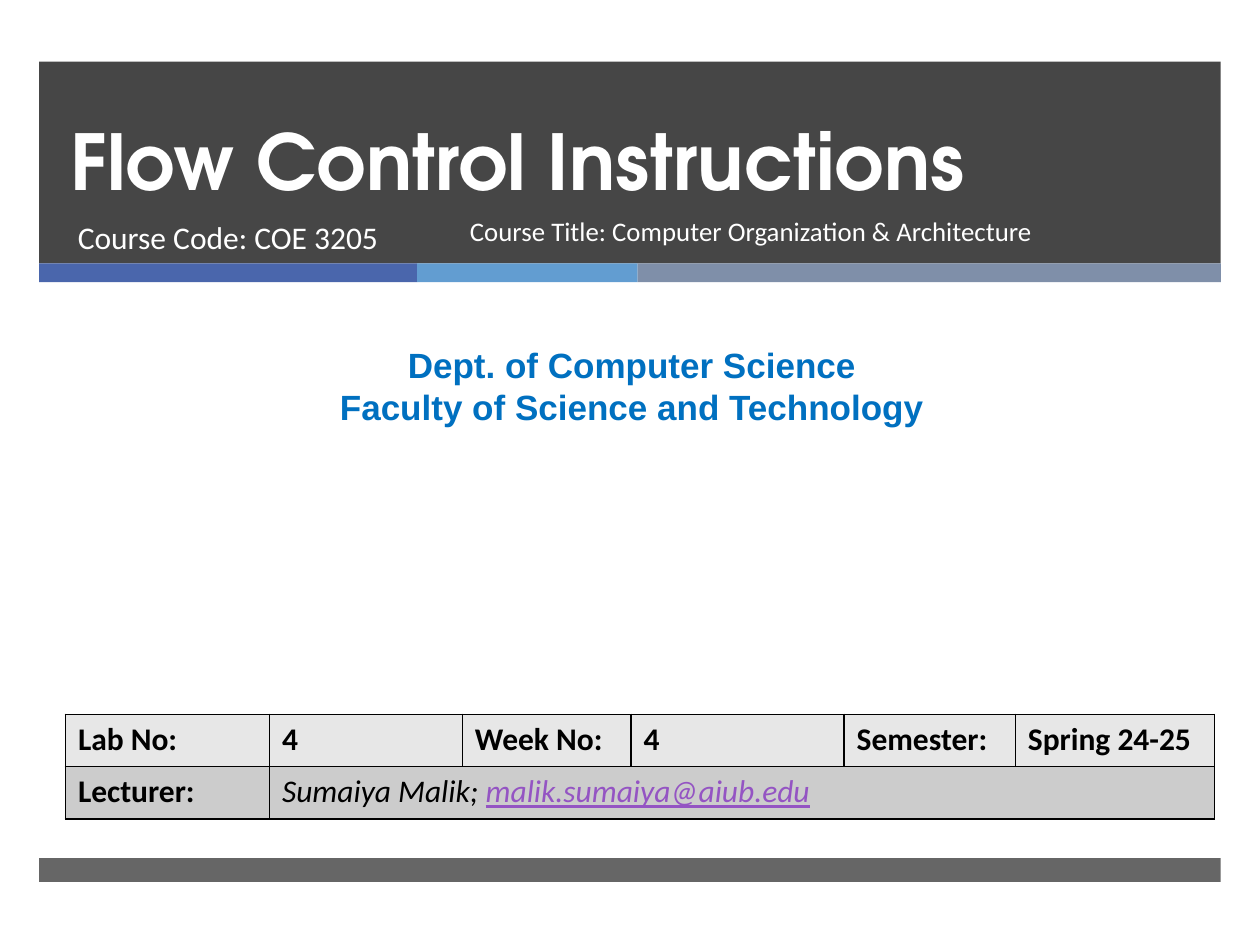
from dataclasses import dataclass

from lxml.etree import SubElement
from pptx import Presentation
from pptx.dml.color import RGBColor
from pptx.enum.text import MSO_ANCHOR, PP_ALIGN
from pptx.enum.shapes import MSO_SHAPE
from pptx.oxml.ns import qn
from pptx.util import Pt


@dataclass(frozen=True)
class Theme:
    dark: str = "262626"
    accents: tuple = ("4A66AC", "629DD1", "7F8FA9")
    white: str = "FFFFFF"
    black: str = "000000"
    department: str = "0070C0"
    email: str = "9454C3"
    row_fills: tuple = ("E7E7E7", "CCCCCC")
    heading_font: str = "TeX Gyre Adventor"
    body_font: str = "Calibri"
    department_font: str = "Arial"
    heading_size: float = 44
    department_size: float = 20
    body_size: float = 18
    course_size: float = 15.3


THEME = Theme()


def write(paragraph, text, *, font=THEME.body_font, size=THEME.body_size,
          color=THEME.black, bold=False, italic=False, underline=False,
          align=None, spacing=None):
    """Add a formatted run to a paragraph."""
    run = paragraph.add_run()
    run.text = text
    style = run.font
    style.name, style.size = font, Pt(size)
    style.bold, style.italic, style.underline = bold, italic, underline
    style.color.rgb = RGBColor.from_string(color)
    if align is not None:
        paragraph.alignment = align
    if spacing is not None:
        paragraph.line_spacing = spacing


class SlideBuilder:
    def __init__(self, slide, theme):
        self.slide = slide
        self.theme = theme

    def bar(self, left, top, width, height, color, opacity=100):
        bar = self.slide.shapes.add_shape(
            MSO_SHAPE.RECTANGLE, Pt(left), Pt(top), Pt(width), Pt(height))
        bar.shadow.inherit = False
        bar.fill.solid()
        bar.fill.fore_color.rgb = RGBColor.from_string(color)
        bar.line.fill.background()
        if opacity < 100:
            rgb = bar.element.spPr.find(f"{qn('a:solidFill')}/{qn('a:srgbClr')}")
            SubElement(rgb, qn("a:alpha"), val=str(opacity * 1000))

    def title(self, left, top, width, height, text):
        title = self.slide.shapes.title
        title.left, title.top = Pt(left), Pt(top)
        title.width, title.height = Pt(width), Pt(height)
        frame = title.text_frame
        frame.word_wrap = True
        frame.vertical_anchor = MSO_ANCHOR.BOTTOM
        write(frame.paragraphs[0], text, font=self.theme.heading_font,
              size=self.theme.heading_size, color=self.theme.white, bold=True,
              align=PP_ALIGN.LEFT, spacing=Pt(46))
        # Bring the title in front of the banner
        title.element.getparent().append(title.element)

    def text(self, left, top, width, height, lines, **style):
        box = self.slide.shapes.add_textbox(
            Pt(left), Pt(top), Pt(width), Pt(height))
        frame = box.text_frame
        frame.word_wrap = True
        for index, line in enumerate(lines):
            paragraph = frame.add_paragraph() if index else frame.paragraphs[0]
            write(paragraph, line, **style)

    def table(self, left, top, widths, row_height, rows):
        table = self.slide.shapes.add_table(
            len(rows), len(widths), Pt(left), Pt(top),
            Pt(sum(widths)), Pt(row_height * len(rows))).table
        for column, width in zip(table.columns, widths):
            column.width = Pt(width)
        for row, texts, fill in zip(table.rows, rows, self.theme.row_fills):
            row.height = Pt(row_height)
            for index, cell in enumerate(row.cells):
                self.cell(cell, fill)
                if index < len(texts):
                    write(cell.text_frame.paragraphs[0], texts[index], bold=True)
        return table

    def cell(self, cell, fill):
        properties = cell._tc.get_or_add_tcPr()
        for side in ("a:lnL", "a:lnR", "a:lnT", "a:lnB"):
            border = SubElement(properties, qn(side), w=str(Pt(1)))
            solid = SubElement(border, qn("a:solidFill"))
            SubElement(solid, qn("a:srgbClr"), val=self.theme.black)
        cell.fill.solid()
        cell.fill.fore_color.rgb = RGBColor.from_string(fill)


def main():
    deck = Presentation()
    deck.slide_width, deck.slide_height = Pt(720), Pt(540)
    builder = SlideBuilder(deck.slides.add_slide(deck.slide_layouts[5]), THEME)

    # Banner, accent strip and footer
    margin, full_width = 22.4, 675.2
    builder.bar(margin, 35.2, full_width, 115.3, THEME.dark, opacity=85)
    accent_left = margin
    for accent_width, color in zip((216, 126, 333.2), THEME.accents):
        builder.bar(accent_left, 150.5, accent_width, 10.8, color)
        accent_left += accent_width
    builder.bar(margin, 490.3, full_width, 13.7, THEME.dark, opacity=70)

    # Lecture title and course details
    builder.title(33.1, 35.2, 615, 85.8, "Flow Control Instructions")
    builder.text(37.4, 121, 219.6, 38.2, ["Course Code: COE 3205"],
                 color=THEME.white)
    builder.text(261.4, 121, 337.7, 38.2,
                 ["Course Title: Computer Organization & Architecture"],
                 size=THEME.course_size, color=THEME.white, spacing=0.9)

    # Department
    builder.text(5.8, 193, 710.6, 55.4,
                 ["Dept. of Computer Science",
                  "Faculty of Science and Technology"],
                 font=THEME.department_font, size=THEME.department_size,
                 color=THEME.department, bold=True, align=PP_ALIGN.CENTER)

    # Lab details
    details = builder.table(
        37.4, 408.2, (116.6, 110.2, 96.5, 121.7, 97.9, 113.8), 29.9,
        [["Lab No:", "4", "Week No:", "4", "Semester:", "Spring 24-25"],
         ["Lecturer:"]])
    lecturer = details.cell(1, 1)
    lecturer.merge(details.cell(1, 5))
    contact = lecturer.text_frame.paragraphs[0]
    write(contact, "Sumaiya Malik; ", italic=True)
    write(contact, "malik.sumaiya@aiub.edu", italic=True, underline=True,
          color=THEME.email)

    deck.save("out.pptx")


if __name__ == "__main__":
    main()
